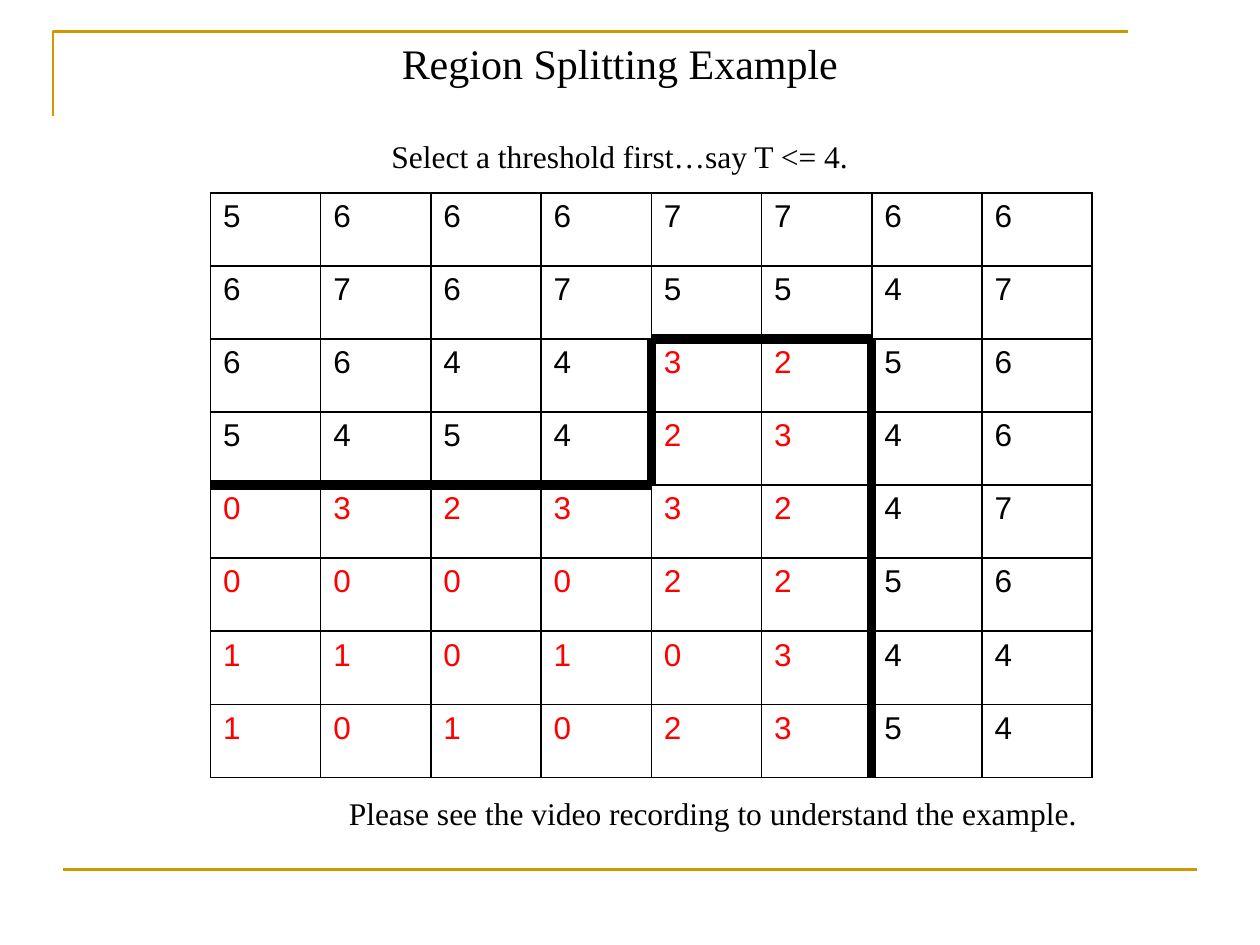
import dataclasses

import lxml.etree
import pptx
import pptx.dml.color
import pptx.enum.shapes
import pptx.enum.text
import pptx.oxml.ns
import pptx.util

Inches = pptx.util.Inches
Pt = pptx.util.Pt


@dataclasses.dataclass(frozen=True)
class Theme:
    ink: str = "000000"
    region: str = "FF0000"
    accent: str = "CC9900"
    serif: str = "Times New Roman"
    sans: str = "Arial"
    title_size: int = 24
    text_size: int = 18
    rule_width: float = 1.5
    thin_border: int = 1
    thick_border: int = 6


THRESHOLD = 4
PIXELS = [
    [5, 6, 6, 6, 7, 7, 6, 6],
    [6, 7, 6, 7, 5, 5, 4, 7],
    [6, 6, 4, 4, 3, 2, 5, 6],
    [5, 4, 5, 4, 2, 3, 4, 6],
    [0, 3, 2, 3, 3, 2, 4, 7],
    [0, 0, 0, 0, 2, 2, 5, 6],
    [1, 1, 0, 1, 0, 3, 4, 4],
    [1, 0, 1, 0, 2, 3, 5, 4],
]
# Border tag and the row and column step to the neighbouring cell
SIDES = [("lnL", 0, -1), ("lnR", 0, 1), ("lnT", -1, 0), ("lnB", 1, 0)]


class SlideBuilder:
    def __init__(self, slide, theme):
        self.slide = slide
        self.theme = theme

    def color(self, value):
        return pptx.dml.color.RGBColor.from_string(value)

    def format_runs(self, paragraph, size, font, color):
        for run in paragraph.runs:
            run.font.size = Pt(size)
            run.font.name = font
            run.font.color.rgb = self.color(color)

    def style_rule(self, line):
        line.color.rgb = self.color(self.theme.accent)
        line.width = Pt(self.theme.rule_width)

    def corner(self, points):
        start, *others = [(Inches(x), Inches(y)) for x, y in points]
        builder = self.slide.shapes.build_freeform(*start)
        builder.add_line_segments(others, close=False)
        shape = builder.convert_to_shape()
        shape.shadow.inherit = False
        shape.fill.background()
        self.style_rule(shape.line)

    def rule(self, left, right, top):
        connector = self.slide.shapes.add_connector(
            pptx.enum.shapes.MSO_CONNECTOR.STRAIGHT,
            Inches(left), Inches(top), Inches(right), Inches(top))
        self.style_rule(connector.line)
        lxml.etree.SubElement(connector._element.spPr, pptx.oxml.ns.qn("a:effectLst"))

    def heading(self, left, top, width, height, title, subtitle):
        shape = self.slide.shapes.title
        shape.left, shape.top = Inches(left), Inches(top)
        shape.width, shape.height = Inches(width), Inches(height)
        frame = shape.text_frame
        frame.text = f"{title}\n{subtitle}"
        frame.auto_size = pptx.enum.text.MSO_AUTO_SIZE.NONE
        frame.vertical_anchor = pptx.enum.text.MSO_ANCHOR.TOP
        sizes = (self.theme.title_size, self.theme.text_size)
        for paragraph, size in zip(frame.paragraphs, sizes):
            paragraph.alignment = pptx.enum.text.PP_ALIGN.CENTER
            self.format_runs(paragraph, size, self.theme.serif, self.theme.ink)
        frame.paragraphs[1].space_before = Pt(27.6)

    def text(self, left, top, width, height, words):
        box = self.slide.shapes.add_textbox(
            Inches(left), Inches(top), Inches(width), Inches(height))
        box.text_frame.word_wrap = True
        box.text_frame.text = words
        self.format_runs(box.text_frame.paragraphs[0], self.theme.text_size,
                         self.theme.serif, self.theme.ink)

    def border(self, cell, position, tag, width):
        properties = cell._tc.get_or_add_tcPr()
        line = pptx.oxml.parse_xml(
            f'<a:{tag} {pptx.oxml.ns.nsdecls("a")} w="{Pt(width)}"><a:solidFill>'
            f'<a:srgbClr val="{self.theme.ink}"/></a:solidFill></a:{tag}>')
        properties.insert(position, line)

    def pixel_grid(self, left, top, width, height, pixels, threshold):
        row_count, column_count = len(pixels), len(pixels[0])
        table = self.slide.shapes.add_table(
            row_count, column_count, Inches(left), Inches(top),
            Inches(width), Inches(height)).table
        table.first_row = table.horz_banding = False
        for row, values in enumerate(pixels):
            for column, value in enumerate(values):
                cell = table.cell(row, column)
                cell.fill.background()
                cell.text_frame.text = str(value)
                in_region = value < threshold
                color = self.theme.region if in_region else self.theme.ink
                self.format_runs(cell.text_frame.paragraphs[0],
                                 self.theme.text_size, self.theme.sans, color)
                # A thick border separates the two regions
                for position, (tag, down, across) in enumerate(SIDES):
                    y, x = row + down, column + across
                    inside = 0 <= y < row_count and 0 <= x < column_count
                    split = inside and (pixels[y][x] < threshold) != in_region
                    border = self.theme.thick_border if split else self.theme.thin_border
                    self.border(cell, position, tag, border)


def main():
    presentation = pptx.Presentation()
    presentation.slide_width = Inches(10)
    presentation.slide_height = Inches(7.5)
    slide = presentation.slides.add_slide(presentation.slide_layouts[5])
    builder = SlideBuilder(slide, Theme())

    # Frame lines
    builder.corner([(0.42, 0.92), (0.42, 0.25), (8.95, 0.25)])
    builder.rule(0.5, 9.5, 6.9)

    # Heading, pixel values and closing remark
    builder.heading(0.92, 0.25, 8, 1.24, "Region Splitting Example",
                    "Select a threshold first…say T <= 4.")
    builder.pixel_grid(1.67, 1.53, 7, 4.64, PIXELS, THRESHOLD)
    builder.text(2.67, 6.25, 6.83, 0.4,
                 "Please see the video recording to understand the example.")

    presentation.save("out.pptx")


if __name__ == "__main__":
    main()
